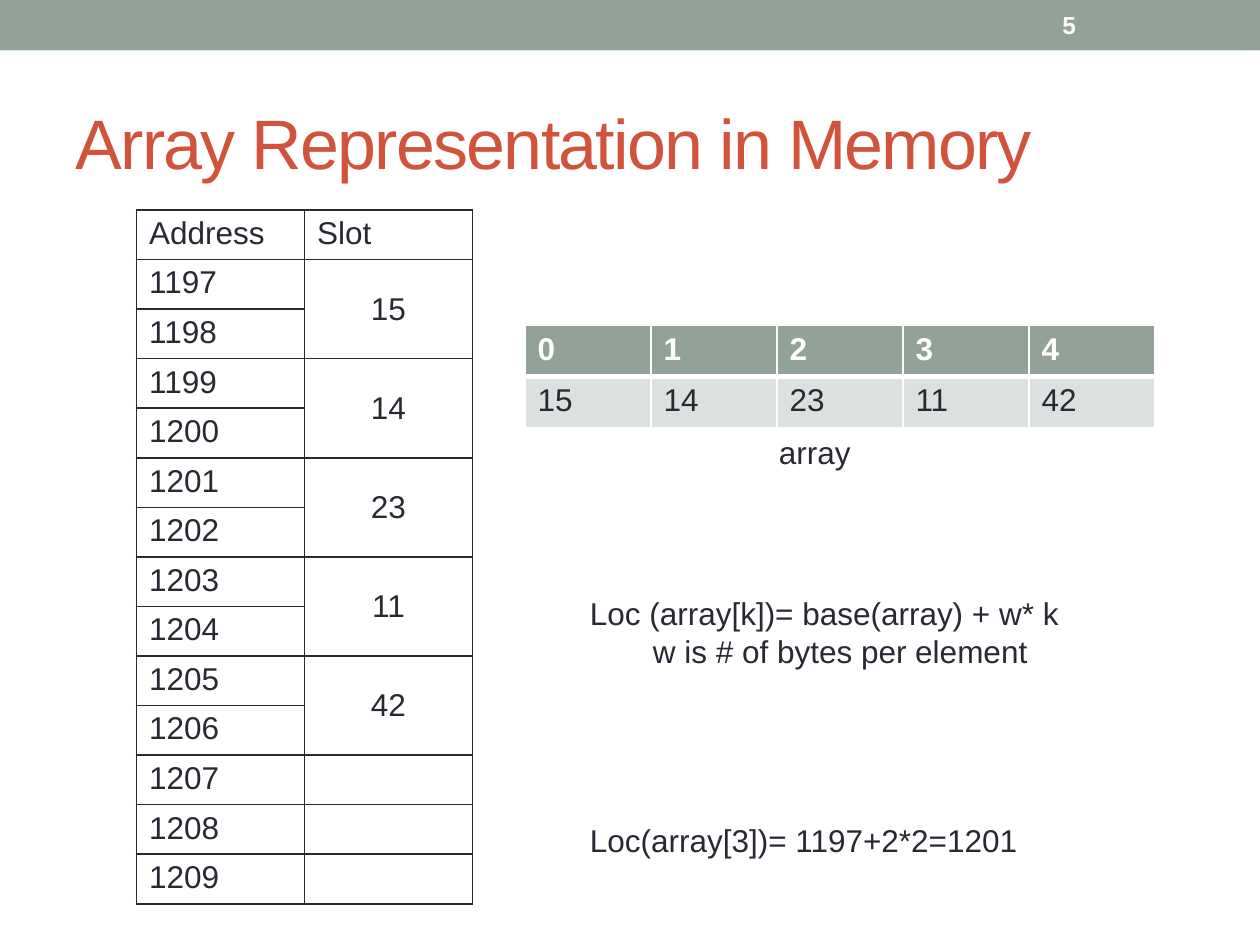
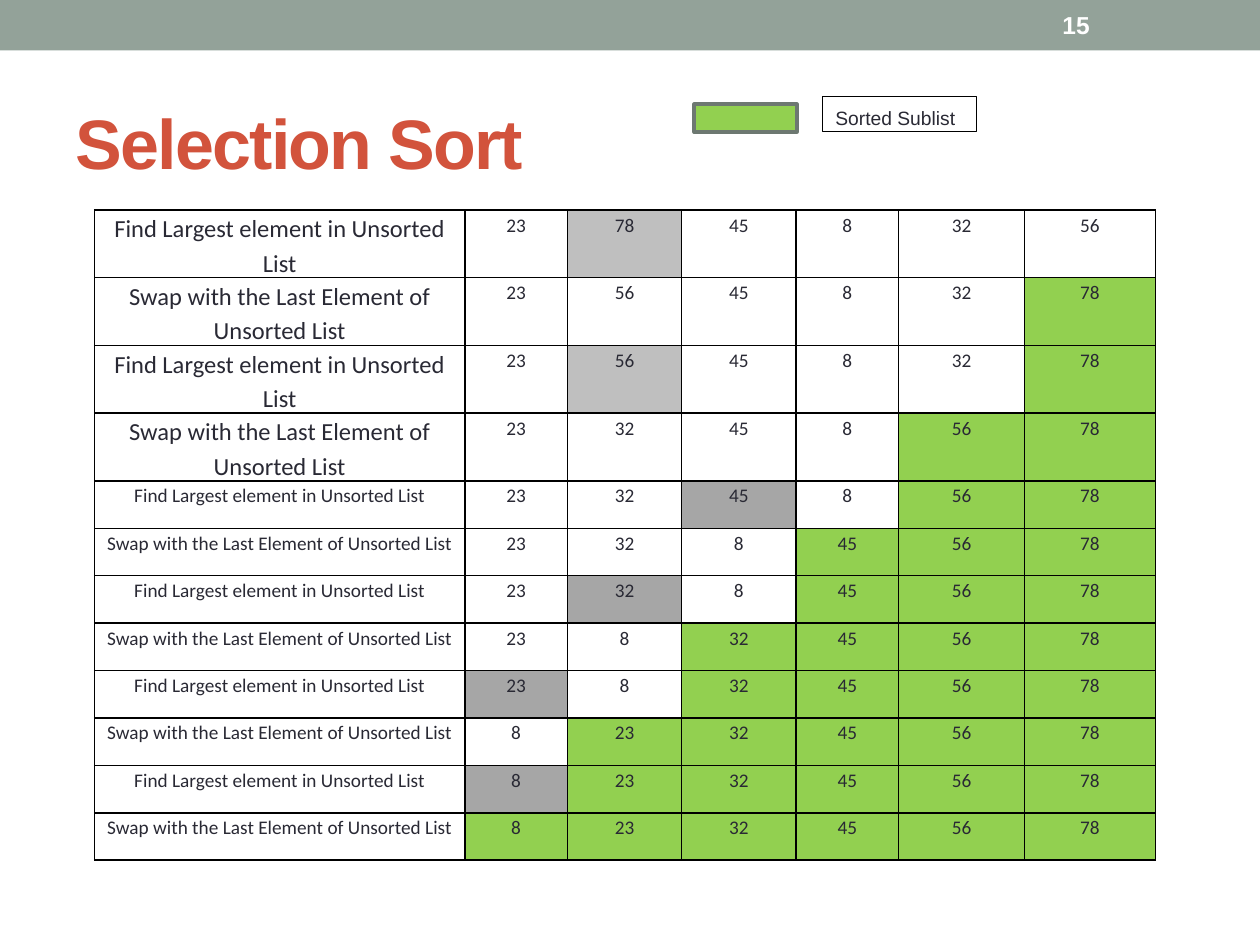
from dataclasses import dataclass
from typing import Optional

from lxml import etree
from pptx import Presentation
from pptx.dml.color import RGBColor
from pptx.enum.shapes import MSO_SHAPE
from pptx.enum.text import MSO_ANCHOR, MSO_AUTO_SIZE, PP_ALIGN
from pptx.oxml.ns import qn
from pptx.util import Pt

# Shared look
BODY_FONT, TABLE_FONT = "Arial", "Calibri"
SAGE, RUST, INK = "93A299", "D2533C", "292934"
WHITE, BLACK, PALE = "FFFFFF", "000000", "DCE0DE"
GREEN, LIGHT_GRAY, GRAY, SLATE = "92D050", "BFBFBF", "A6A6A6", "6D7871"


@dataclass
class Box:
    left: float
    top: float
    width: float
    height: float

    def lengths(self) -> tuple:
        return Pt(self.left), Pt(self.top), Pt(self.width), Pt(self.height)


@dataclass
class TextStyle:
    size: float
    color: str = INK
    font: str = BODY_FONT
    bold: bool = False


@dataclass
class CellStyle:
    text: TextStyle
    border: str
    fill: Optional[str] = None
    align: PP_ALIGN = PP_ALIGN.LEFT
    anchor: MSO_ANCHOR = MSO_ANCHOR.TOP
    side_inset: float = 7.2
    end_inset: float = 3.6
    line_spacing: float = 1.0
    bottom_border: float = 1


@dataclass
class SortStep:
    label: str
    values: list
    sorted_from: int
    largest: Optional[int] = None


BODY = TextStyle(18)


def rgb(color: str) -> RGBColor:
    return RGBColor.from_string(color)


def add_run(paragraph, text: str, style: TextStyle):
    run = paragraph.add_run()
    run.text = text
    run.font.size = Pt(style.size)
    run.font.name = style.font
    run.font.bold = style.bold
    run.font.color.rgb = rgb(style.color)
    return run


def add_text(slide, box: Box, text: str, style: TextStyle, anchor=MSO_ANCHOR.TOP):
    frame = slide.shapes.add_textbox(*box.lengths()).text_frame
    frame.word_wrap = True
    frame.vertical_anchor = anchor
    add_run(frame.paragraphs[0], text, style)
    return frame


def add_rect(slide, box: Box, fill: str, line: Optional[str] = None, weight: float = 1):
    rect = slide.shapes.add_shape(MSO_SHAPE.RECTANGLE, *box.lengths())
    rect.shadow.inherit = False
    rect.fill.solid()
    rect.fill.fore_color.rgb = rgb(fill)
    if line:
        rect.line.color.rgb = rgb(line)
        rect.line.width = Pt(weight)
    else:
        rect.line.fill.background()
    return rect


def add_titled_slide(deck, title: str, number: int, bold: bool = False):
    slide = deck.slides.add_slide(deck.slide_layouts[5])
    heading = slide.shapes.title
    heading.left, heading.top, heading.width, heading.height = Box(36, 42, 648, 78).lengths()
    frame = heading.text_frame
    frame.auto_size = MSO_AUTO_SIZE.NONE
    frame.vertical_anchor = MSO_ANCHOR.MIDDLE
    frame.paragraphs[0].alignment = PP_ALIGN.LEFT
    run = add_run(frame.paragraphs[0], title, TextStyle(40, RUST, bold=bold))
    run.font._element.set("spc", "-100")
    # Top band with the slide number
    add_rect(slide, Box(0, 0, 720, 28.8), SAGE)
    add_text(slide, Box(600, 1.4, 84, 26), str(number),
             TextStyle(14, WHITE, bold=True), MSO_ANCHOR.MIDDLE)
    return slide


def set_borders(cell, color: str, bottom: float) -> None:
    properties = cell._tc.get_or_add_tcPr()
    for side, weight in (("L", 1), ("R", 1), ("T", 1), ("B", bottom)):
        line = etree.SubElement(properties, qn(f"a:ln{side}"), w=str(Pt(weight)))
        solid = etree.SubElement(line, qn("a:solidFill"))
        etree.SubElement(solid, qn("a:srgbClr"), val=color)


def fill_cell(cell, text: str, style: CellStyle) -> None:
    set_borders(cell, style.border, style.bottom_border)
    if style.fill:
        cell.fill.solid()
        cell.fill.fore_color.rgb = rgb(style.fill)
    else:
        cell.fill.background()
    cell.margin_left = cell.margin_right = Pt(style.side_inset)
    cell.margin_top = cell.margin_bottom = Pt(style.end_inset)
    cell.vertical_anchor = style.anchor
    paragraph = cell.text_frame.paragraphs[0]
    paragraph.alignment = style.align
    paragraph.line_spacing = style.line_spacing
    if text:
        add_run(paragraph, text, style.text)


def add_grid(slide, left: float, top: float, widths: list, heights: list):
    box = Box(left, top, sum(widths), sum(heights))
    grid = slide.shapes.add_table(len(heights), len(widths), *box.lengths()).table
    grid.first_row = grid.horz_banding = False
    for column, width in zip(grid.columns, widths):
        column.width = Pt(width)
    for row, height in zip(grid.rows, heights):
        row.height = Pt(height)
    return grid


def selection_sort_steps(values: list) -> list:
    """Two steps per pass: the largest is found, then swapped to the end."""
    steps = []
    values = list(values)
    for last in range(len(values) - 1, -1, -1):
        largest = values.index(max(values[:last + 1]))
        steps.append(SortStep("Find Largest element in Unsorted List",
                              list(values), last + 1, largest))
        values[largest], values[last] = values[last], values[largest]
        steps.append(SortStep("Swap with the Last Element of Unsorted List",
                              list(values), last))
    return steps


def build_memory_slide(deck) -> None:
    slide = add_titled_slide(deck, "Array Representation in Memory", 5)
    elements = [15, 14, 23, 11, 42]
    addresses = range(1197, 1210)

    # Memory: every element takes two addresses
    memory = add_grid(slide, 78, 120, [96, 96], [27.4] * (len(addresses) + 1))
    address_style = CellStyle(BODY, INK, end_inset=3.35)
    slot_style = CellStyle(BODY, INK, align=PP_ALIGN.CENTER,
                           anchor=MSO_ANCHOR.MIDDLE, end_inset=3.35)
    fill_cell(memory.cell(0, 0), "Address", address_style)
    fill_cell(memory.cell(0, 1), "Slot", address_style)
    for row, address in enumerate(addresses, start=1):
        index, second_byte = divmod(row - 1, 2)
        starts_element = index < len(elements) and not second_byte
        fill_cell(memory.cell(row, 0), str(address), address_style)
        fill_cell(memory.cell(row, 1), str(elements[index]) if starts_element else "",
                  slot_style)
        if starts_element:
            memory.cell(row, 1).merge(memory.cell(row + 1, 1))

    # Array: indexes above elements
    array = add_grid(slide, 300, 186, [72] * len(elements), [29.2] * 2)
    index_style = CellStyle(TextStyle(18, WHITE, bold=True), WHITE, SAGE, bottom_border=3)
    element_style = CellStyle(BODY, WHITE, PALE)
    for index, element in enumerate(elements):
        fill_cell(array.cell(0, index), str(index), index_style)
        fill_cell(array.cell(1, index), str(element), element_style)

    # Caption and location formula
    line_height = 21.6
    caption = add_text(slide, Box(438, 244, 84, 29), "array", BODY)
    caption.paragraphs[0].line_spacing = Pt(line_height)
    formula = add_text(slide, Box(330, 336, 354, 160),
                       "Loc (array[k])= base(array) + w* k", BODY)
    add_run(formula.add_paragraph(), "\tw is # of bytes per element", BODY)
    example = formula.add_paragraph()
    example.space_before = Pt(4 * line_height)
    add_run(example, "Loc(array[3])= 1197+2*2=1201", BODY)
    for paragraph in formula.paragraphs:
        paragraph.line_spacing = Pt(line_height)


def build_sort_slide(deck) -> None:
    slide = add_titled_slide(deck, "Selection Sort", 15, bold=True)
    steps = selection_sort_steps([23, 78, 45, 8, 32, 56])
    large_rows = 4  # the first two passes have larger labels

    # Sorting steps
    heights = [38.7 if row < large_rows else 27.1 for row in range(len(steps))]
    trace = add_grid(slide, 54, 120, [211.6, 58.7, 65.3, 65.3, 58.7, 72, 74.7], heights)

    def step_style(size: float, fill: Optional[str] = None) -> CellStyle:
        return CellStyle(TextStyle(size, font=TABLE_FONT), BLACK, fill, PP_ALIGN.CENTER,
                         side_inset=5.04, end_inset=0, line_spacing=1.15)

    for row, step in enumerate(steps):
        is_large = row < large_rows
        fill_cell(trace.cell(row, 0), step.label, step_style(14 if is_large else 11))
        for position, value in enumerate(step.values):
            shade = None
            if position >= step.sorted_from:
                shade = GREEN
            elif position == step.largest:
                shade = LIGHT_GRAY if is_large else GRAY
            fill_cell(trace.cell(row, position + 1), str(value), step_style(11, shade))

    # Legend
    add_rect(slide, Box(396.7, 59.5, 58.6, 16), GREEN, SLATE, 2.08)
    legend = add_rect(slide, Box(470.2, 55.2, 87.8, 20), WHITE, BLACK, 0.5).text_frame
    legend.word_wrap = True
    legend.vertical_anchor = MSO_ANCHOR.TOP
    paragraph = legend.paragraphs[0]
    paragraph.alignment = PP_ALIGN.LEFT
    paragraph.line_spacing = 1.15
    paragraph.space_after = Pt(10)
    add_run(paragraph, "Sorted Sublist", TextStyle(11))


deck = Presentation()
deck.slide_width, deck.slide_height = Pt(720), Pt(540)
build_memory_slide(deck)
build_sort_slide(deck)
deck.save("out.pptx")
